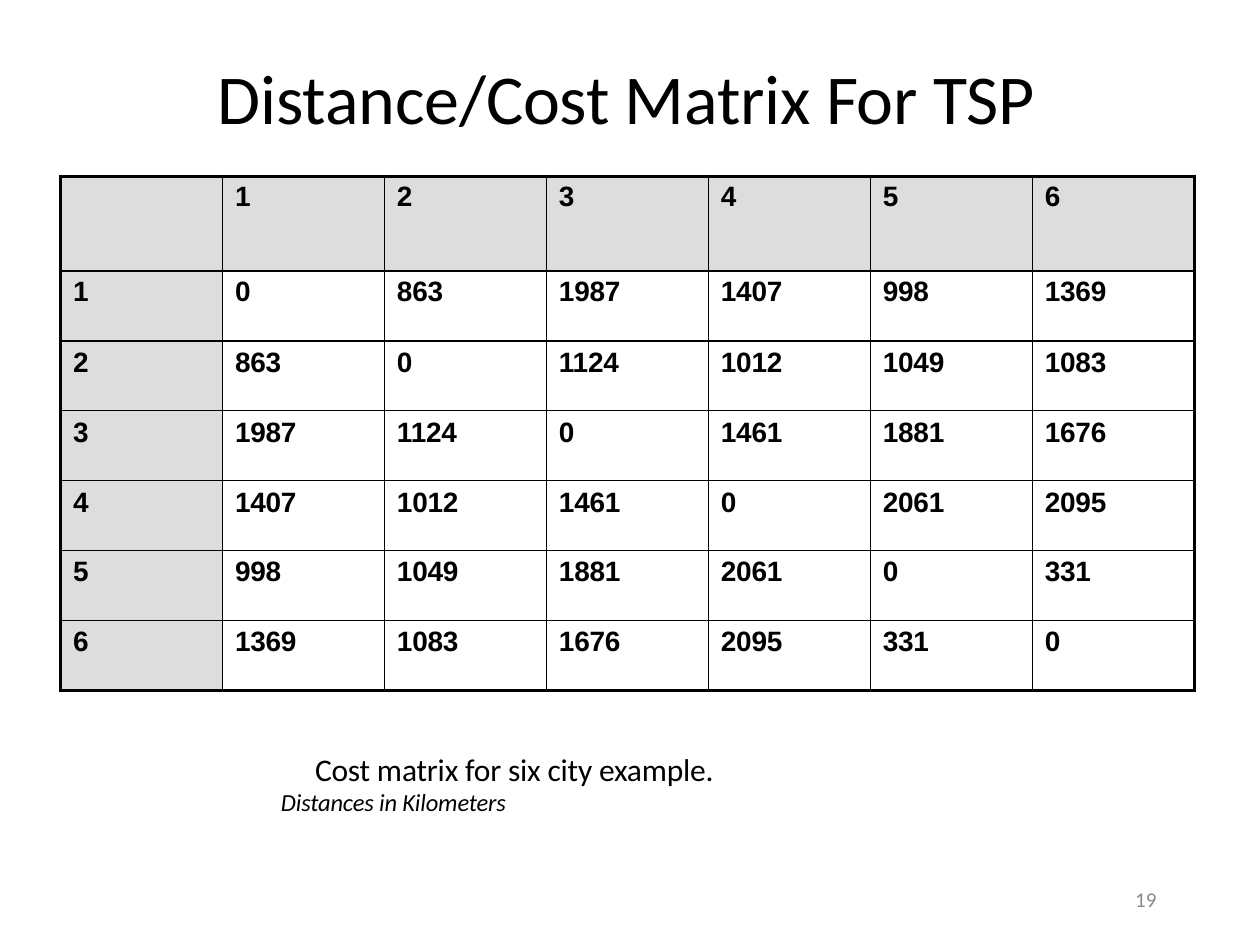
from lxml.etree import SubElement
from pptx import Presentation
from pptx.dml.color import RGBColor
from pptx.oxml.ns import qn
from pptx.util import Inches, Pt

BLACK, GRAY, HEADER_FILL = "000000", "888888", "DDDDDD"
DISTANCES = [
    [0, 863, 1987, 1407, 998, 1369],
    [863, 0, 1124, 1012, 1049, 1083],
    [1987, 1124, 0, 1461, 1881, 1676],
    [1407, 1012, 1461, 0, 2061, 2095],
    [998, 1049, 1881, 2061, 0, 331],
    [1369, 1083, 1676, 2095, 331, 0],
]


def color(hex_string):
    return RGBColor.from_string(hex_string)


def write_text(paragraph, text, size, font="Calibri", fill=BLACK, bold=False,
               italic=False, indent=0.01, spacing=0):
    """Fill a paragraph; spacing is the letter spacing in points."""
    properties = paragraph._p.get_or_add_pPr()
    properties.set("marL", str(Inches(indent)))
    properties.set("indent", "0")
    run = paragraph.add_run()
    run.text = text
    run.font.name = font
    run.font.size = Pt(size)
    run.font.bold = bold
    run.font.italic = italic
    run.font.color.rgb = color(fill)
    if spacing:
        run._r.get_or_add_rPr().set("spc", str(round(spacing * 100)))


def add_text_box(slide, left, top, width, height):
    """Add a box without side margins and return its text frame."""
    frame = slide.shapes.add_textbox(
        Inches(left), Inches(top), Inches(width), Inches(height)).text_frame
    frame.word_wrap = True
    frame.margin_left = frame.margin_right = frame.margin_bottom = 0
    frame.margin_top = Inches(0.01)
    return frame


def set_borders(cell, **widths):
    properties = cell._tc.get_or_add_tcPr()
    for side, width in widths.items():
        line = SubElement(properties, qn(f"a:ln{side}"), w=str(Pt(width)))
        solid = SubElement(line, qn("a:solidFill"))
        SubElement(solid, qn("a:srgbClr"), val=BLACK)


def add_distance_table(slide):
    cities = [str(number) for number in range(1, len(DISTANCES) + 1)]
    rows = [["", *cities]]
    rows += [[city, *map(str, values)] for city, values in zip(cities, DISTANCES)]
    last = len(cities)
    table = slide.shapes.add_table(
        last + 1, last + 1, Inches(0.48), Inches(1.4), Inches(9), Inches(4.08)).table
    table.first_row = table.horz_banding = False
    for index, row in enumerate(table.rows):
        row.height = Inches(0.555 if index else 0.75)

    for row, values in enumerate(rows):
        for column, value in enumerate(values):
            cell = table.cell(row, column)
            cell.margin_left = cell.margin_right = cell.margin_bottom = 0
            cell.margin_top = Inches(0.05 if row > 1 else 0.04)
            set_borders(cell,
                        L=1 if column else 2.25, R=2.25 if column == last else 1,
                        T=1 if row else 2.25, B=2.25 if row == last else 1)
            if row and column:
                cell.fill.background()
            else:
                cell.fill.solid()
                cell.fill.fore_color.rgb = color(HEADER_FILL)
            if value:
                write_text(cell.text_frame.paragraphs[0], value, 16, font="Arial",
                           bold=True, indent=0.1,
                           spacing=-0.1 if len(value) > 1 else 0)


def add_caption(slide):
    frame = add_text_box(slide, 2.22, 5.94, 3.51, 0.57)
    write_text(frame.paragraphs[0], "Cost matrix for six city example.", 18,
               indent=0.28, spacing=-0.1)
    write_text(frame.add_paragraph(), "Distances in Kilometers", 14,
               italic=True, spacing=-0.1)


def main():
    presentation = Presentation()
    presentation.slide_width = Inches(10)
    presentation.slide_height = Inches(7.5)
    slide = presentation.slides.add_slide(presentation.slide_layouts[6])

    title = add_text_box(slide, 1.72, 0.42, 6.56, 0.69)
    write_text(title.paragraphs[0], "Distance/Cost Matrix For TSP", 40, spacing=-0.1)
    add_distance_table(slide)
    add_caption(slide)
    page_number = add_text_box(slide, 9, 7.03, 0.2, 0.23)
    write_text(page_number.paragraphs[0], "19", 12, fill=GRAY)

    presentation.save("out.pptx")


if __name__ == "__main__":
    main()
